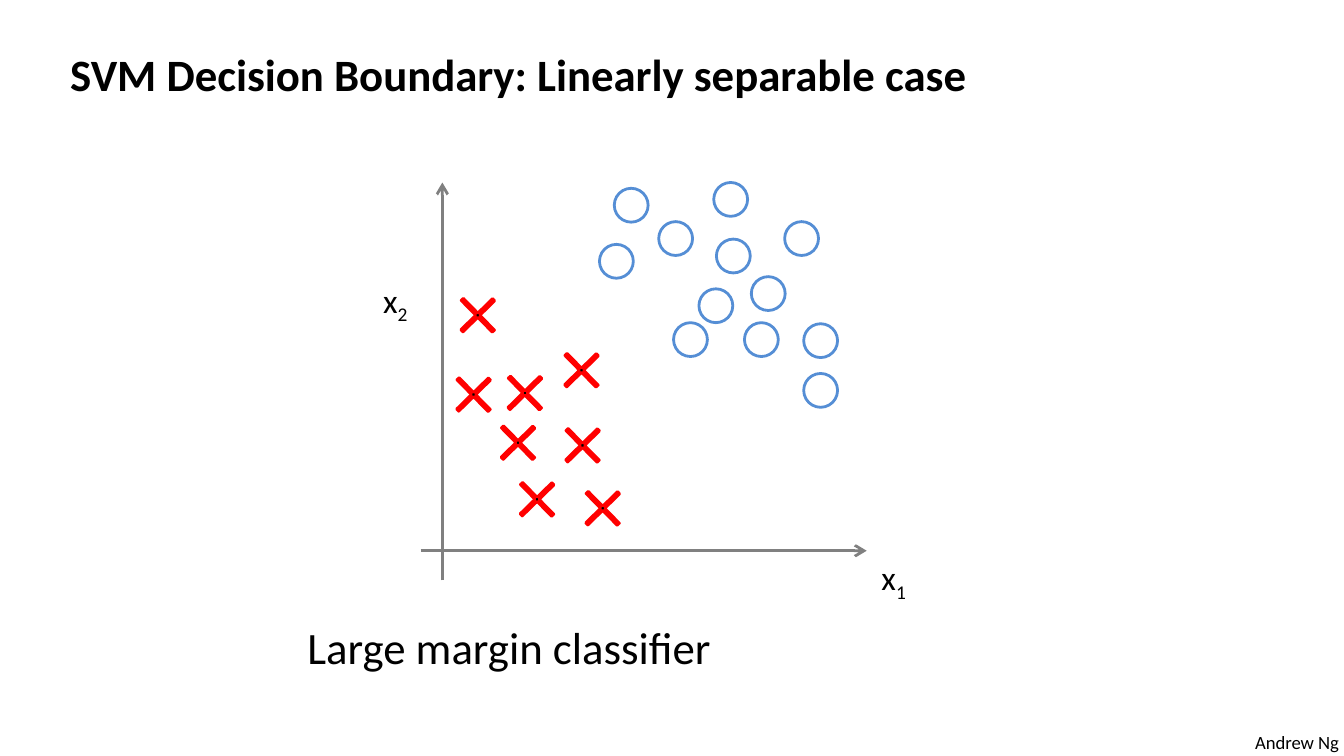
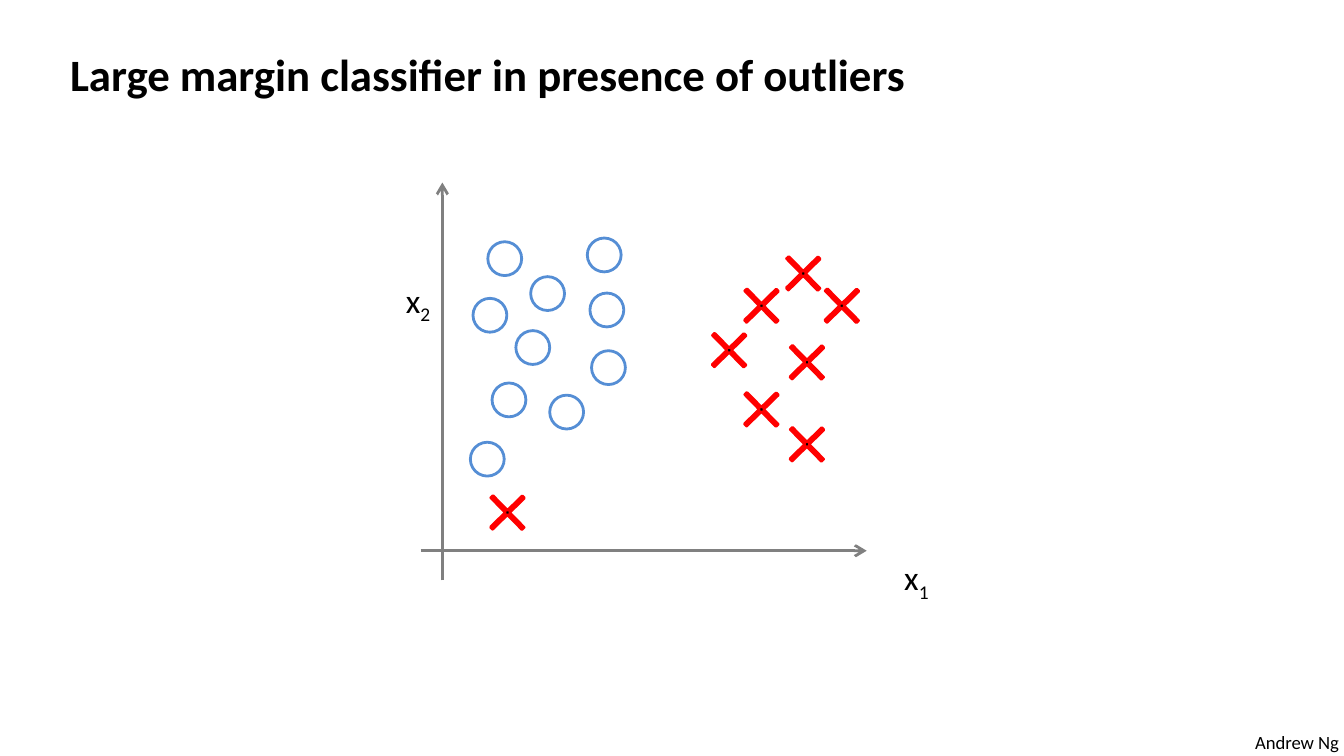
"""Build two slides on large margin classification with SVMs."""
from lxml import etree
from pptx import Presentation
from pptx import util as u
from pptx.dml.color import RGBColor
from pptx.enum import shapes, text
from pptx.oxml.ns import qn

COLOURS = {"ink": "000000", "circle": "558ED5", "cross": "FF0000", "axis": "808080"}
FONT = "Calibri"
CIRCLE_SIZE, CROSS_SIZE = u.Cm(0.64), u.Cm(0.84)
AXES = [((8.36, 10.97), (8.36, 3.45)), ((7.95, 10.41), (16.38, 10.41))]

PLOTS = [
    {
        "title": "SVM Decision Boundary: Linearly separable case",
        "x1_left": 16.41,
        "x2_left": 6.99,
        "caption": "Large margin classifier",
        "circles": [
            (15.19, 7.06), (12.45, 4.19), (11.61, 3.56), (14.07, 6.1),
            (15.19, 6.12), (13.21, 5.46), (14.2, 5.23), (11.33, 4.62),
            (12.73, 6.1), (13.54, 4.52), (14.83, 4.19), (13.49, 3.45),
        ],
        "crosses": [
            (9.73, 9.02), (10.57, 6.58), (10.59, 8), (9.37, 7.95),
            (10.97, 9.19), (9.5, 7.01), (8.61, 5.54), (8.53, 7.04),
        ],
    },
    {
        "title": "Large margin classifier in presence of outliers",
        "x1_left": 16.84,
        "x2_left": 7.42,
        "caption": None,
        "circles": [
            (8.89, 8.36), (10.03, 5.23), (9.22, 4.57), (10.39, 7.47),
            (11.18, 6.63), (9.3, 7.24), (8.94, 5.64), (9.75, 6.25),
            (11.15, 5.54), (11.1, 4.5),
        ],
        "crosses": [
            (14.76, 4.75), (13.97, 5.36), (14.83, 6.43), (13.36, 6.2),
            (14.83, 7.98), (15.49, 5.36), (13.97, 7.32), (9.17, 9.27),
        ],
    },
]


def write(holder, words, at, size=18, bold=False, wrap=True, subscript=None):
    holder.left, holder.top, holder.width, holder.height = map(u.Cm, at)
    frame = holder.text_frame
    frame.word_wrap = wrap
    frame.auto_size = text.MSO_AUTO_SIZE.SHAPE_TO_FIT_TEXT
    frame.vertical_anchor = text.MSO_ANCHOR.TOP
    line = frame.paragraphs[0]
    line.alignment = text.PP_ALIGN.LEFT
    for part in filter(None, (words, subscript)):
        run = line.add_run()
        run.text = part
        run.font.name, run.font.size, run.font.bold = FONT, u.Pt(size), bold
        run.font.color.rgb = RGBColor.from_string(COLOURS["ink"])
        if part == subscript:
            run.font._element.set("baseline", "-25000")


def outline(line, colour):
    line.color.rgb = RGBColor.from_string(COLOURS[colour])
    line.width = u.Pt(1.5)


deck = Presentation()
deck.slide_width, deck.slide_height = u.Cm(25.4), u.Cm(14.29)

for plot in PLOTS:
    slide = deck.slides.add_slide(deck.slide_layouts[5])
    canvas = slide.shapes
    write(canvas.title, plot["title"], (1.07, 0.76, 23.06, 1.27), size=24, bold=True)
    write(canvas.add_textbox(0, 0, 0, 0), "Andrew Ng", (23.47, 13.69, 2.13, 0.69),
          size=10, wrap=False)

    for start, end in AXES:
        axis = canvas.add_connector(shapes.MSO_CONNECTOR.STRAIGHT,
                                    *map(u.Cm, start + end))
        outline(axis.line, "axis")
        etree.SubElement(axis.line._get_or_add_ln(), qn("a:tailEnd"), type="arrow")
        etree.SubElement(axis._element.spPr, qn("a:effectLst"))

    for index, left, top in (("1", plot["x1_left"], 10.41), ("2", plot["x2_left"], 5.16)):
        write(canvas.add_textbox(0, 0, 0, 0), "x", (left, top, 1.37, 1.4),
              wrap=False, subscript=index)

    for left, top in plot["circles"]:
        circle = canvas.add_shape(shapes.MSO_SHAPE.OVAL, u.Cm(left), u.Cm(top),
                                  CIRCLE_SIZE, CIRCLE_SIZE)
        circle.shadow.inherit = False
        circle.fill.background()
        outline(circle.line, "circle")

    for left, top in plot["crosses"]:
        cross = canvas.add_shape(shapes.MSO_SHAPE.CROSS, u.Cm(left), u.Cm(top),
                                 CROSS_SIZE, CROSS_SIZE)
        cross.shadow.inherit = False
        cross.rotation = 45.6
        cross.adjustments[0] = 0.466
        cross.fill.solid()
        cross.fill.fore_color.rgb = RGBColor.from_string(COLOURS["ink"])
        outline(cross.line, "cross")

    if plot["caption"]:
        write(canvas.add_textbox(0, 0, 0, 0), plot["caption"],
              (5.56, 11.58, 18.57, 1.27), size=24)

deck.save("out.pptx")
